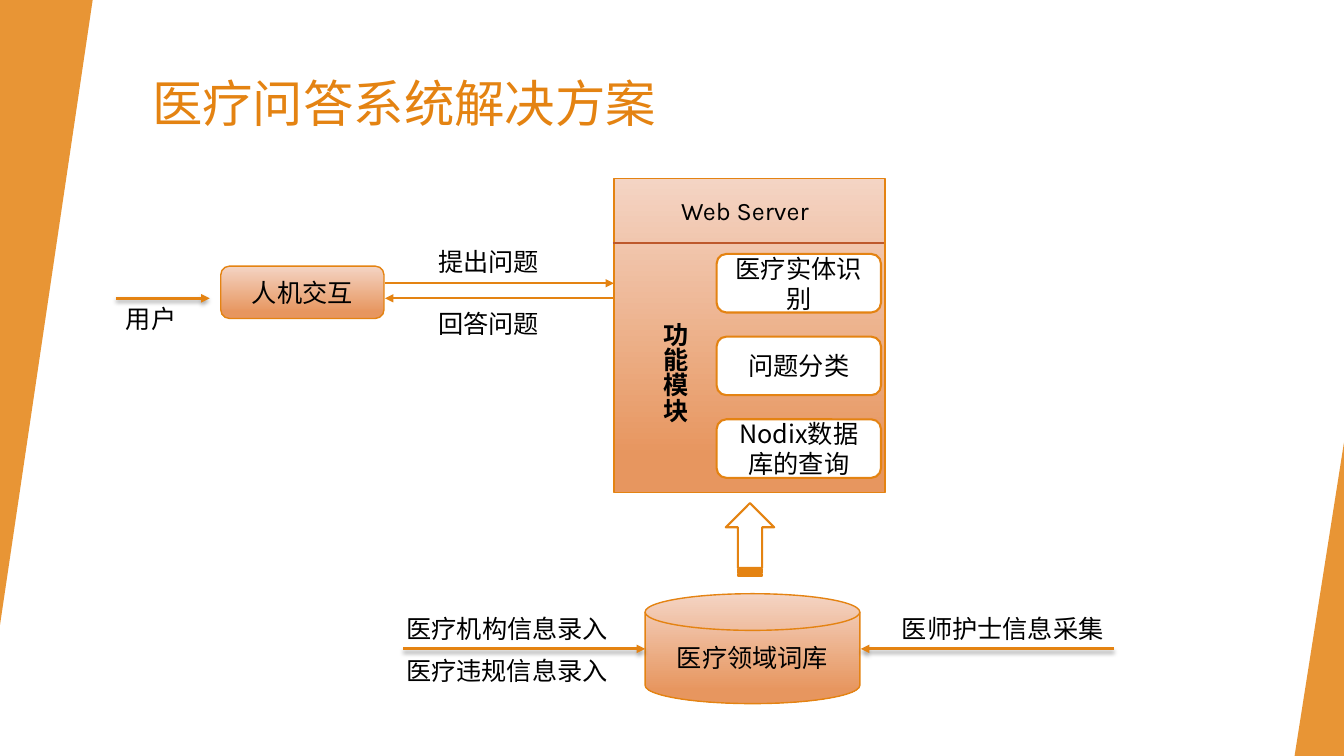
from dataclasses import dataclass

from lxml import etree
from pptx import Presentation
from pptx.dml.color import RGBColor
from pptx.enum.shapes import MSO_CONNECTOR, MSO_SHAPE
from pptx.enum.text import MSO_ANCHOR, PP_ALIGN
from pptx.oxml import parse_xml
from pptx.oxml.ns import nsdecls, qn
from pptx.shapes.autoshape import Shape
from pptx.slide import Slide
from pptx.util import Pt

STRAIGHT = MSO_CONNECTOR.STRAIGHT
TRIANGLE = MSO_SHAPE.ISOSCELES_TRIANGLE
ROUNDED = MSO_SHAPE.ROUNDED_RECTANGLE
PROCESS = MSO_SHAPE.FLOWCHART_PROCESS
DISK = MSO_SHAPE.FLOWCHART_MAGNETIC_DISK
STRIPED_ARROW = MSO_SHAPE.STRIPED_RIGHT_ARROW
LEFT, CENTER = PP_ALIGN.LEFT, PP_ALIGN.CENTER
TOP, MIDDLE = MSO_ANCHOR.TOP, MSO_ANCHOR.MIDDLE

ORANGE, RUST, WHITE, BLACK = "E48312", "BD582C", "FFFFFF", "000000"
PEACH, COPPER = "F4D4C4", "E7965F"
LATIN_FONT, CHINESE_FONT = "Karla", "Noto Sans CJK SC"


@dataclass
class Frame:
    left: float
    top: float
    width: float
    height: float


@dataclass
class Label:
    text: str
    frame: Frame
    font: str = CHINESE_FONT
    size: float = 18
    color: str = BLACK
    bold: bool = False
    vertical: bool = False


@dataclass
class Node:
    kind: int
    frame: Frame
    text: str = ""
    fill: str | None = None  # None means the peach gradient
    line_width: float = 1
    rotation: float = 0


@dataclass
class Link:
    start: tuple[float, float]
    end: tuple[float, float]
    width: float = 1.5
    color: str = ORANGE
    arrow: bool = True
    shadow: bool = False


def rgb(value: str) -> RGBColor:
    return RGBColor.from_string(value)


def lengths(frame: Frame) -> list[int]:
    return [Pt(n) for n in (frame.left, frame.top, frame.width, frame.height)]


def write(box: Shape, text: str, *, font: str = CHINESE_FONT, size: float = 18,
          color: str = BLACK, bold: bool = False, align: int = LEFT,
          anchor: int = TOP) -> None:
    box.text_frame.word_wrap = True
    box.text_frame.vertical_anchor = anchor
    para = box.text_frame.paragraphs[0]
    para.alignment = align
    span = para.add_run()
    span.text = text
    span.font.size = Pt(size)
    span.font.bold = bold
    span.font.color.rgb = rgb(color)
    span.font.name = font
    east_asian = etree.SubElement(span.font._element, qn("a:ea"))
    east_asian.set("typeface", CHINESE_FONT)


def add_label(page: Slide, label: Label) -> None:
    box = page.shapes.add_textbox(*lengths(label.frame))
    write(box, label.text, font=label.font, size=label.size,
          color=label.color, bold=label.bold)
    if label.vertical:
        box.text_frame._txBody.bodyPr.set("vert", "eaVert")


def add_node(page: Slide, node: Node) -> None:
    shape = page.shapes.add_shape(node.kind, *lengths(node.frame))
    shape.shadow.inherit = False
    shape.rotation = node.rotation
    if node.fill:
        shape.fill.solid()
        shape.fill.fore_color.rgb = rgb(node.fill)
    else:
        shape.fill.gradient()
        shape.fill.gradient_angle = 270
        stops = ((0, PEACH), (0.88, COPPER))
        for stop, (position, color) in zip(shape.fill.gradient_stops, stops):
            stop.position = position
            stop.color.rgb = rgb(color)
    shape.line.color.rgb = rgb(ORANGE)
    shape.line.width = Pt(node.line_width)
    if node.text:
        write(shape, node.text, align=CENTER, anchor=MIDDLE)


def add_wedge(page: Slide, frame: Frame, rotation: float) -> None:
    wedge = page.shapes.add_shape(TRIANGLE, *lengths(frame))
    wedge.shadow.inherit = False
    wedge.adjustments[0] = 1
    wedge.rotation = rotation
    wedge.fill.solid()
    wedge.fill.fore_color.rgb = rgb(ORANGE)
    color = wedge.fill._xPr.find(qn("a:solidFill"))[0]
    etree.SubElement(color, qn("a:alpha")).set("val", "85000")
    wedge.line.fill.background()


def add_link(page: Slide, link: Link) -> None:
    points = [Pt(n) for n in (*link.start, *link.end)]
    connector = page.shapes.add_connector(STRAIGHT, *points)
    connector.line.color.rgb = rgb(link.color)
    connector.line.width = Pt(link.width)
    if link.arrow:
        line = connector.line._get_or_add_ln()
        etree.SubElement(line, qn("a:tailEnd")).set("type", "triangle")
    shadow = (
        f'<a:outerShdw blurRad="{Pt(3)}" dist="{Pt(2)}" dir="5400000" rotWithShape="0">'
        f'<a:srgbClr val="{BLACK}"><a:alpha val="35000"/></a:srgbClr></a:outerShdw>'
    ) if link.shadow else ""
    connector._element.spPr.append(
        parse_xml(f'<a:effectLst {nsdecls("a")}>{shadow}</a:effectLst>'))


MODULES = ("医疗实体识别", "问题分类", "Nodix数据库的查询")

NODES = [
    Node(ROUNDED, Frame(157.7, 190.1, 116.6, 37.4), "人机交互"),
    Node(PROCESS, Frame(438.5, 127.4, 193.7, 224.6)),
    *(Node(ROUNDED, Frame(511.9, 181.4 + 59.05 * row, 117.4, 41.8), module, WHITE, 1.5)
      for row, module in enumerate(MODULES)),
    Node(DISK, Frame(460.8, 424.1, 153.4, 78.5), "医疗领域词库"),
    Node(STRIPED_ARROW, Frame(509.8, 367.9, 51.8, 34.6), "", WHITE, 1.5, 270),
]

LINKS = [
    Link((82.8, 213.1), (149.8, 213.1), 2, shadow=True),
    Link((437.8, 173.5), (631.4, 173.5), 1, RUST, arrow=False),
    Link((275, 202.3), (438.5, 202.3)),
    Link((438.5, 213.1), (275, 213.1)),
    Link((795.6, 463.5), (614.9, 463.5), 2, shadow=True),
    Link((288, 463.5), (460.8, 463.5), 2, shadow=True),
]

LABELS = [
    Label("医疗问答系统解决方案", Frame(101.5, 48.2, 802.8, 86.4), LATIN_FONT, 36, ORANGE),
    Label("用户", Frame(82.8, 213.1, 54, 29)),
    Label("Web Server", Frame(479.5, 136.1, 110.9, 29), LATIN_FONT),
    Label("功能模块", Frame(460.8, 223.2, 36, 94.3), bold=True, vertical=True),
    Label("提出问题", Frame(306, 172.1, 89.3, 29)),
    Label("回答问题", Frame(306, 216.7, 89.3, 29)),
    Label("医师护士信息采集", Frame(637.2, 434.2, 163.4, 29)),
    Label("医疗机构信息录入", Frame(283.3, 434.2, 163.4, 29)),
    Label("医疗违规信息录入", Frame(283, 464.4, 163.4, 29)),
]


def main() -> None:
    deck = Presentation()
    deck.slide_width, deck.slide_height = Pt(960), Pt(540)
    page = deck.slides.add_slide(deck.slide_layouts[6])

    # Side wedges
    add_wedge(page, Frame(0, 0, 66.2, 446.4), 180)
    add_wedge(page, Frame(924.7, 316.1, 35.3, 223.9), 0)

    # System parts, the flow between them, and their captions
    for node in NODES:
        add_node(page, node)
    for link in LINKS:
        add_link(page, link)
    for label in LABELS:
        add_label(page, label)

    deck.save("out.pptx")


if __name__ == "__main__":
    main()
